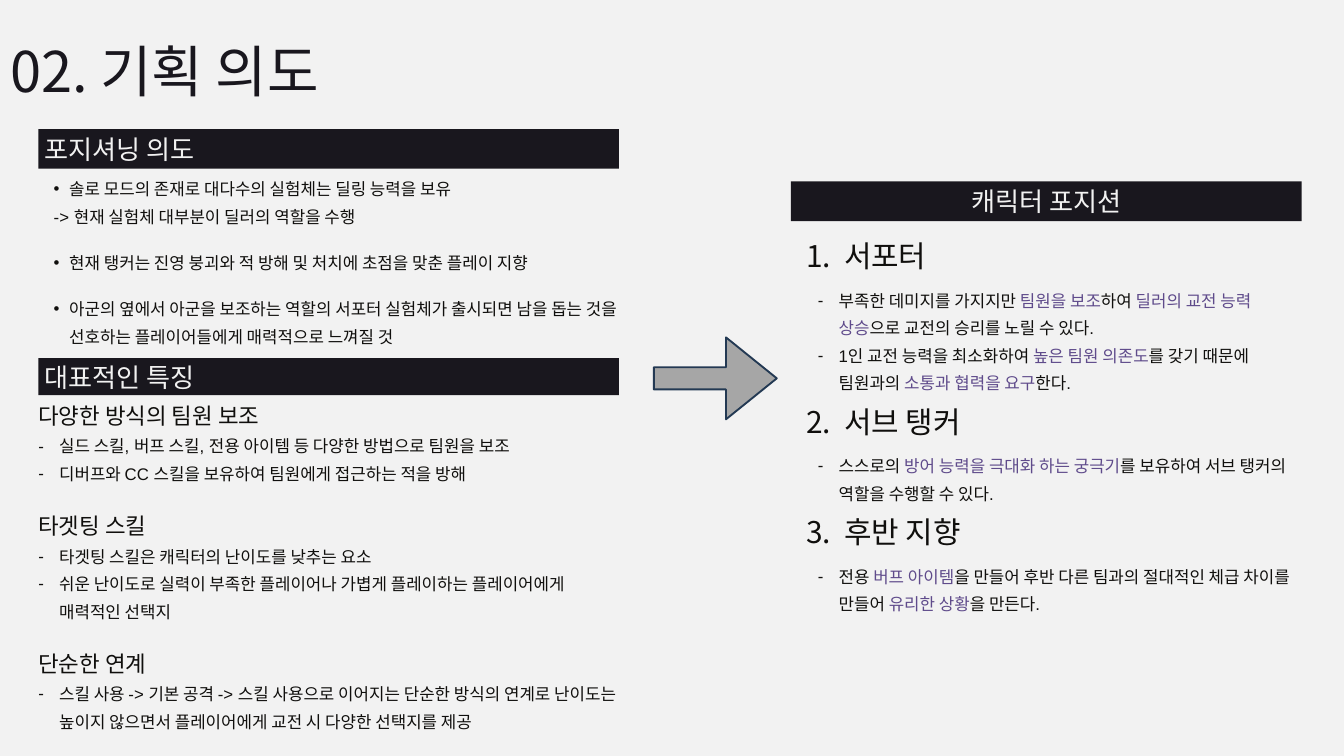
"""Build the planning-intent slide: positioning and features lead to character roles."""
from lxml import etree
from pptx import Presentation
from pptx import util as u
from pptx.dml.color import RGBColor
from pptx.enum import shapes, text
from pptx.oxml.ns import qn

PAPER = RGBColor(0xF2, 0xF2, 0xF2)
INK = RGBColor(0x19, 0x17, 0x1E)
BODY = RGBColor(0x10, 0x0F, 0x0D)
ACCENT = RGBColor(0x5F, 0x4B, 0x8B)
GREY = RGBColor(0xA6, 0xA6, 0xA6)
NAVY = RGBColor(0x23, 0x39, 0x53)
LATIN, KOREAN = "Arial", "Noto Sans CJK KR"
WIDTH, HEIGHT = 20, 11.25
LEFT, LEFT_WIDTH = 0.57, 8.64
RIGHT, RIGHT_WIDTH = 11.77, 7.6
LINE = 29.5

TITLE = [("title", "02. 기획 의도")]
POSITIONING = [
    ("dot", "솔로 모드의 존재로 대다수의 실험체는 딜링 능력을 보유"),
    ("result", "-> 현재 실험체 대부분이 딜러의 역할을 수행"),
    ("spaced dot", "현재 탱커는 진영 붕괴와 적 방해 및 처치에 초점을 맞춘 플레이 지향"),
    ("dot", "아군의 옆에서 아군을 보조하는 역할의 서포터 실험체가 출시되면 남을 돕는 "
            "것을 선호하는 플레이어들에게 매력적으로 느껴질 것"),
]
FEATURES = [
    ("feature", "다양한 방식의 팀원 보조"),
    ("dash", "실드 스킬, 버프 스킬, 전용 아이템 등 다양한 방법으로 팀원을 보조"),
    ("dash", "디버프와 CC 스킬을 보유하여 팀원에게 접근하는 적을 방해"),
    ("feature", "타겟팅 스킬"),
    ("dash", "타겟팅 스킬은 캐릭터의 난이도를 낮추는 요소"),
    ("dash", "쉬운 난이도로 실력이 부족한 플레이어나 가볍게 플레이하는 플레이어에게 매력적인 선택지"),
    ("feature", "단순한 연계"),
    ("dash", "스킬 사용 -> 기본 공격 -> 스킬 사용으로 이어지는 단순한 방식의 연계로 "
             "난이도는 높이지 않으면서 플레이어에게 교전 시 다양한 선택지를 제공"),
]
ROLES = [
    ("role", "서포터"),
    ("role dash", "부족한 데미지를 가지지만 |팀원을 보조|하여 |딜러의 교전 능력 상승|"
                  "으로 교전의 승리를 노릴 수 있다."),
    ("role dash", "1인 교전 능력을 최소화하여 |높은 팀원 의존도|를 갖기 때문에 팀원과의 "
                  "|소통과 협력을 요구|한다."),
    ("role", "서브 탱커"),
    ("role dash", "스스로의 |방어 능력을 극대화 하는 궁극기|를 보유하여 서브 탱커의 역할을 수행할 수 있다."),
    ("role", "후반 지향"),
    ("role dash", "전용| 버프 아이템|을 만들어 후반 다른 팀과의 절대적인 체급 차이를 만들어 "
                  "|유리한 상황|을 만든다."),
]

DOT = dict(level=1, margin=0.46, indent=-0.23, bullet="•")
STYLES = {
    "title": dict(size=60, line=126.7, font=KOREAN, color=INK, align=text.PP_ALIGN.JUSTIFY),
    "dot": DOT,
    "spaced dot": dict(DOT, after=20),
    "result": dict(level=1, margin=0.23, after=20),
    "feature": dict(size=24, before=LINE),
    "dash": dict(margin=0.31, indent=-0.31, bullet="-"),
    "role": dict(size=32, level=1, margin=0.79, indent=-0.56, bullet="1.", before=20, after=10),
    "role dash": dict(level=2, margin=0.71, indent=-0.31, bullet="-"),
}
BANNERS = [
    ("포지셔닝 의도", LEFT, 1.92, LEFT_WIDTH, 0.59, text.PP_ALIGN.LEFT),
    ("대표적인 특징", LEFT, 5.33, LEFT_WIDTH, 0.55, text.PP_ALIGN.LEFT),
    ("캐릭터 포지션", RIGHT, 2.7, RIGHT_WIDTH, 0.59, text.PP_ALIGN.CENTER),
]
TEXTS = [
    (TITLE, 0.15, -0.21, 12.51, 1.59),
    (POSITIONING, LEFT, 2.55, LEFT_WIDTH, 2.64),
    (FEATURES, LEFT, 5.97, LEFT_WIDTH, 5.02),
    (ROLES, RIGHT, 3.66, 7.67, 5.58),
]


def inches(*lengths):
    return [u.Inches(length) for length in lengths]


def format_run(run, size, color, font=LATIN):
    run.font.size = u.Pt(size)
    run.font.color.rgb = color
    run.font.name = font
    etree.SubElement(run.font._element, qn("a:ea")).set("typeface", KOREAN)


def add_bullet(properties, bullet):
    numbered = bullet == "1."
    font = etree.SubElement(properties, qn("a:buFont"))
    font.set("typeface", KOREAN if numbered else LATIN)
    if numbered:
        etree.SubElement(properties, qn("a:buAutoNum")).set("type", "arabicPeriod")
    else:
        etree.SubElement(properties, qn("a:buChar")).set("char", bullet)


def write_paragraph(paragraph, content, first, size=18, line=LINE, font=LATIN, color=BODY,
                    align=text.PP_ALIGN.LEFT, level=0, margin=0, indent=0, bullet=None,
                    before=0, after=0):
    paragraph.level = level
    paragraph.alignment = align
    paragraph.line_spacing = u.Pt(line)
    paragraph.space_before = u.Pt(0 if first else before)
    paragraph.space_after = u.Pt(after)
    properties = paragraph._p.get_or_add_pPr()
    properties.set("marL", str(u.Inches(margin)))
    properties.set("indent", str(u.Inches(indent)))
    if bullet:
        add_bullet(properties, bullet)
    for index, part in enumerate(content.split("|")):
        run = paragraph.add_run()
        run.text = part
        format_run(run, size, ACCENT if index % 2 else color, font)


def add_text(slide, items, *place):
    frame = slide.shapes.add_textbox(*inches(*place)).text_frame
    frame.word_wrap = True
    frame.auto_size = text.MSO_AUTO_SIZE.SHAPE_TO_FIT_TEXT
    frame.margin_left = frame.margin_right = frame.margin_top = frame.margin_bottom = 0
    for index, (style, content) in enumerate(items):
        paragraph = frame.add_paragraph() if index else frame.paragraphs[0]
        write_paragraph(paragraph, content, index == 0, **STYLES[style])


def add_filled(slide, kind, color, *place):
    shape = slide.shapes.add_shape(kind, *inches(*place))
    shape.shadow.inherit = False
    shape.fill.solid()
    shape.fill.fore_color.rgb = color
    return shape


def add_banner(slide, label, left, top, width, height, align):
    banner = add_filled(slide, shapes.MSO_SHAPE.RECTANGLE, INK, left, top, width, height)
    banner.line.fill.background()
    frame = banner.text_frame
    frame.text = label
    frame.vertical_anchor = text.MSO_ANCHOR.MIDDLE
    frame.paragraphs[0].alignment = align
    format_run(frame.paragraphs[0].runs[0], 28, PAPER)


def add_arrow(slide):
    arrow = add_filled(slide, shapes.MSO_SHAPE.RIGHT_ARROW, GREY, 9.73, 5.02, 1.83, 1.22)
    arrow.adjustments[0], arrow.adjustments[1] = 0.27, 0.62
    arrow.line.color.rgb = NAVY
    arrow.line.width = u.Pt(2)


def main():
    presentation = Presentation()
    presentation.slide_width, presentation.slide_height = inches(WIDTH, HEIGHT)
    slide = presentation.slides.add_slide(presentation.slide_layouts[6])
    slide.background.fill.solid()
    slide.background.fill.fore_color.rgb = PAPER
    for banner in BANNERS:
        add_banner(slide, *banner)
    for block in TEXTS:
        add_text(slide, *block)
    add_arrow(slide)
    presentation.save("out.pptx")


if __name__ == "__main__":
    main()
